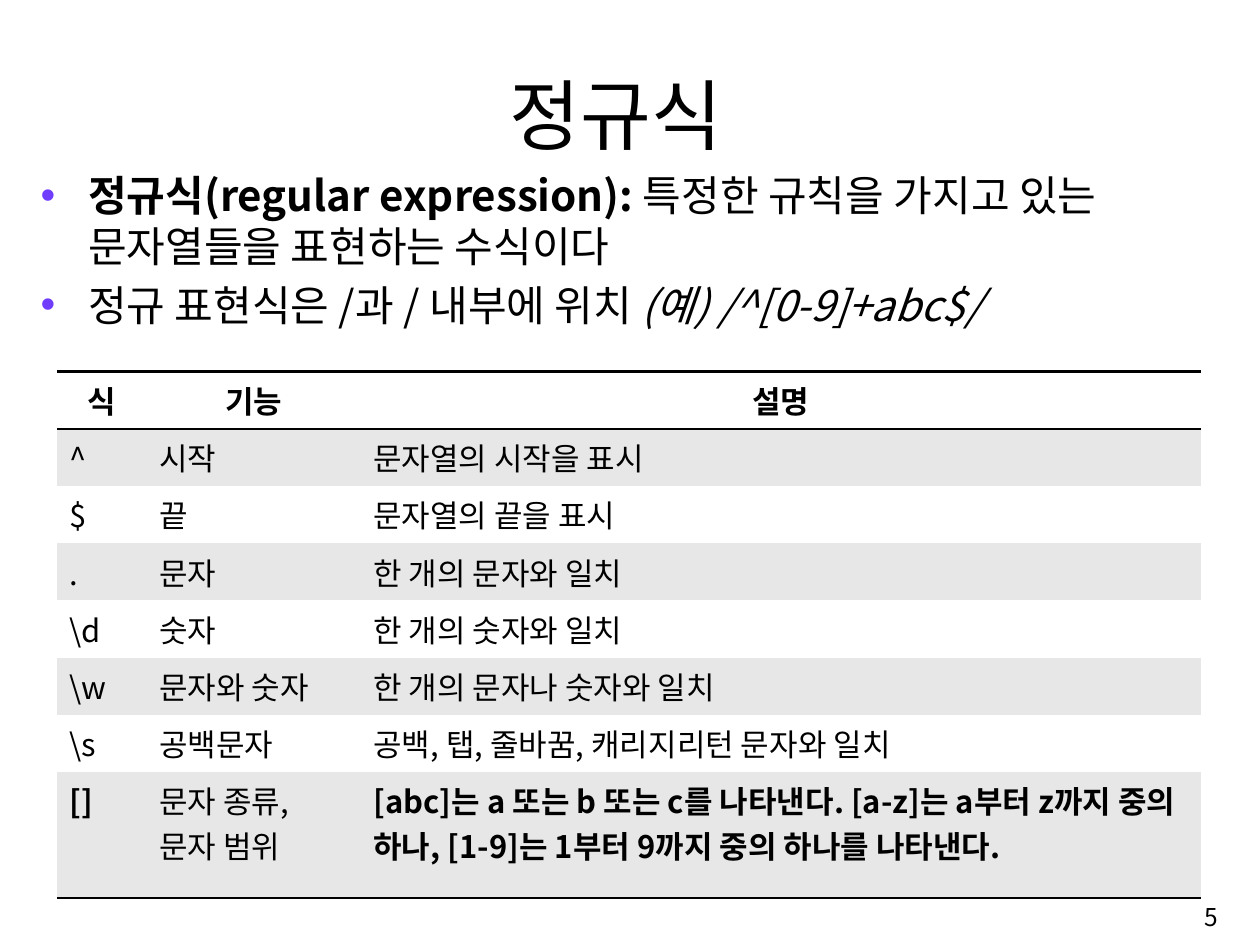
from lxml.etree import SubElement
from pptx import Presentation
from pptx.dml.color import RGBColor
from pptx.enum.text import MSO_ANCHOR, PP_ALIGN
from pptx.oxml import parse_xml
from pptx.oxml.ns import nsdecls, qn
from pptx.util import Inches, Pt

FONT = "Noto Sans CJK KR"
BLACK = RGBColor(0x00, 0x00, 0x00)
WHITE = RGBColor(0xFF, 0xFF, 0xFF)
GRAY = RGBColor(0xE7, 0xE7, 0xE7)
VIOLET = RGBColor(0x70, 0x3D, 0xFF)
NO_TABLE_STYLE = "{2D5ABB26-0587-4C30-8999-92F81FD0307C}"

# Each bullet is a list of (text, bold, italic)
BULLETS = [
    [("정규식(regular expression):", True, False),
     (" 특정한 규칙을 가지고 있는 문자열들을 표현하는 수식이다", False, False)],
    [("정규 표현식은 /과 / 내부에 위치 ", False, False),
     ("(예) /^[0-9]+abc$/", False, True)],
]
COLUMN_WIDTHS = [0.92, 2.21, 8.66]
ROW_HEIGHTS = [0.59] * 7 + [1.3]
ROWS = [
    ("식", "기능", "설명"),
    ("^", "시작", "문자열의 시작을 표시"),
    ("$", "끝", "문자열의 끝을 표시"),
    (".", "문자", "한 개의 문자와 일치"),
    ("\\d", "숫자", "한 개의 숫자와 일치"),
    ("\\w", "문자와 숫자", "한 개의 문자나 숫자와 일치"),
    ("\\s", "공백문자", "공백, 탭, 줄바꿈, 캐리지리턴 문자와 일치"),
    ("[]", "문자 종류, 문자 범위",
     "[abc]는 a 또는 b 또는 c를 나타낸다. [a-z]는 a부터 z까지 중의 하나, "
     "[1-9]는 1부터 9까지 중의 하나를 나타낸다."),
]


def style_paragraph(para, size, align=PP_ALIGN.LEFT, bold=None):
    para.alignment = align
    font = para.font
    font.name, font.size, font.bold = FONT, Pt(size), bold
    font.color.rgb = BLACK
    # Hangul takes the East Asian typeface
    properties = para._p.pPr.find(qn("a:defRPr"))
    SubElement(properties, qn("a:ea")).set("typeface", FONT)


def add_text_frame(page, left, top, width, height, anchor):
    box = page.shapes.add_textbox(
        Inches(left), Inches(top), Inches(width), Inches(height))
    frame = box.text_frame
    frame.word_wrap = True
    frame.vertical_anchor = anchor
    return frame


def add_label(page, text, place, size, align):
    para = add_text_frame(page, *place, MSO_ANCHOR.MIDDLE).paragraphs[0]
    para.text = text
    style_paragraph(para, size, align)


def set_bullet(para):
    properties = para._p.get_or_add_pPr()
    properties.set("marL", str(Inches(0.49)))
    properties.set("indent", str(-Inches(0.49)))
    text_defaults = properties.find(qn("a:defRPr"))
    for xml in (f'<a:buClr {nsdecls("a")}><a:srgbClr val="{VIOLET}"/></a:buClr>',
                f'<a:buFont {nsdecls("a")} typeface="Arial"/>',
                f'<a:buChar {nsdecls("a")} char="•"/>'):
        text_defaults.addprevious(parse_xml(xml))


def add_bullets(page, bullets):
    frame = add_text_frame(page, 0.32, 1.7, 12.32, 7.06, MSO_ANCHOR.TOP)
    for index, spans in enumerate(bullets):
        para = frame.add_paragraph() if index else frame.paragraphs[0]
        para.space_before = Pt(6.2)
        style_paragraph(para, 31.2)
        set_bullet(para)
        for text, bold, italic in spans:
            span = para.add_run()
            span.text = text
            span.font.bold, span.font.italic = bold, italic


def set_borders(cell, sides):
    properties = cell._tc.get_or_add_tcPr()
    for position, side in enumerate(sides):
        properties.insert(position, parse_xml(
            f'<a:ln{side} {nsdecls("a")} w="{Pt(2)}"><a:solidFill>'
            f'<a:srgbClr val="{BLACK}"/></a:solidFill></a:ln{side}>'))


def fill_cell(cell, text, row, column):
    header, last = row == 0, row == len(ROWS) - 1
    cell.margin_left = cell.margin_right = Inches(0.13)
    cell.margin_top = cell.margin_bottom = Inches(0.06)
    cell.fill.solid()
    cell.fill.fore_color.rgb = GRAY if row % 2 else WHITE
    para = cell.text_frame.paragraphs[0]
    para.text = text
    style_paragraph(para, 23, PP_ALIGN.CENTER if header else PP_ALIGN.LEFT,
                    bold=header or (last and column != 1))
    if header:
        set_borders(cell, "TB")
    elif last:
        set_borders(cell, "B")


def add_syntax_table(page):
    frame = page.shapes.add_table(
        len(ROWS), len(COLUMN_WIDTHS), Inches(0.59), Inches(3.83),
        Inches(sum(COLUMN_WIDTHS)), Inches(sum(ROW_HEIGHTS)))
    table = frame.table
    table.first_row = table.horz_banding = False
    table._tbl.tblPr.find(qn("a:tableStyleId")).text = NO_TABLE_STYLE
    for column, width in zip(table.columns, COLUMN_WIDTHS):
        column.width = Inches(width)
    for row, height in zip(table.rows, ROW_HEIGHTS):
        row.height = Inches(height)
    for row, texts in enumerate(ROWS):
        for column, text in enumerate(texts):
            fill_cell(table.cell(row, column), text, row, column)


def main():
    deck = Presentation()
    deck.slide_width, deck.slide_height = Inches(12.99), Inches(9.74)
    page = deck.slides.add_slide(deck.slide_layouts[6])

    # Title and bullets
    add_label(page, "정규식", (1.05, 0.63, 10.61, 1.08), 57.2, PP_ALIGN.CENTER)
    add_bullets(page, BULLETS)

    # Table of expressions
    add_syntax_table(page)

    # Page number
    add_label(page, "5", (9.98, 9.15, 2.68, 0.6), 18.2, PP_ALIGN.RIGHT)

    deck.save("out.pptx")


if __name__ == "__main__":
    main()
